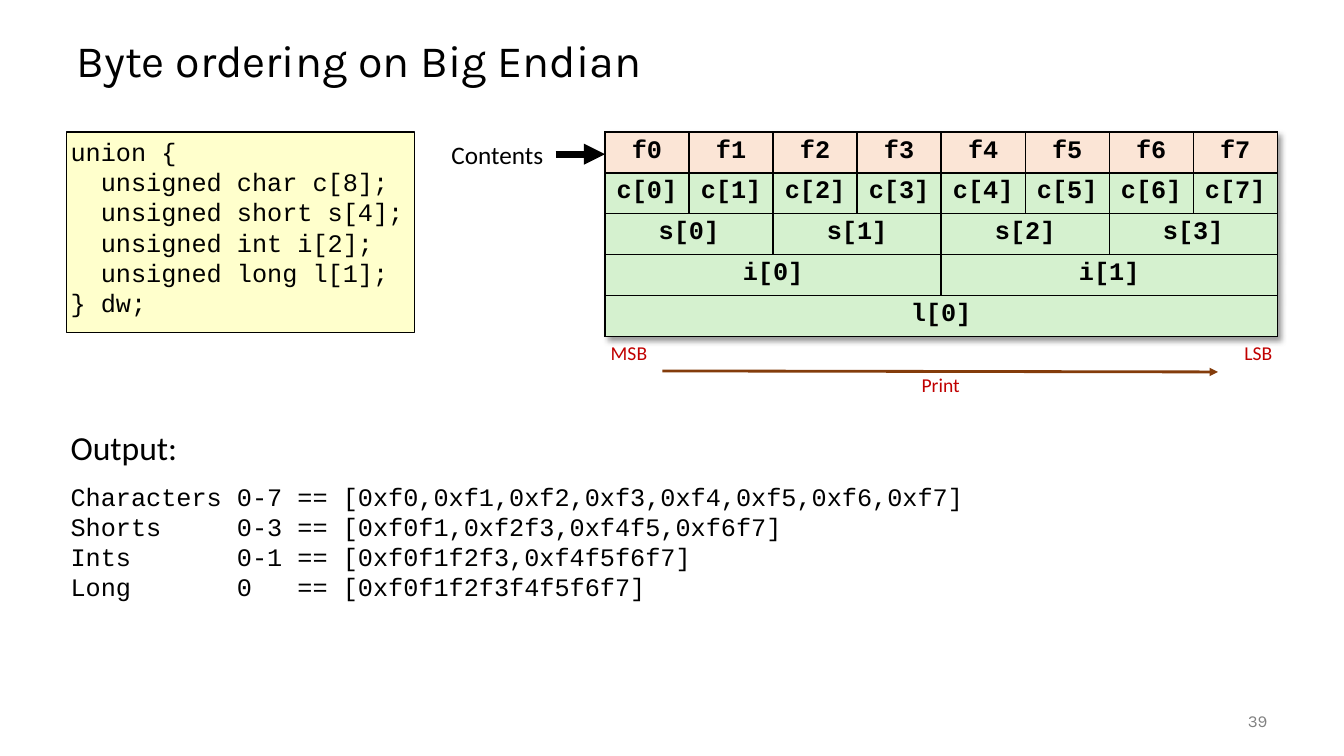
from lxml import etree
from pptx import Presentation
from pptx.dml.color import RGBColor as RGB
from pptx.enum.shapes import MSO_CONNECTOR as LINK, MSO_SHAPE as SHAPE
from pptx.enum.text import MSO_ANCHOR as ANCHOR, MSO_AUTO_SIZE as AUTO, PP_ALIGN as ALIGN
from pptx.oxml import parse_xml
from pptx.oxml.ns import nsdecls, qn
from pptx.util import Inches, Pt

HUES = {"ink": "000000", "gray": "808080", "red": "C00000", "brown": "843C0B",
        "cream": "FFFFCC", "peach": "FBE5D6", "green": "D5F1CF"}
MONO, SANS, HEAD = "Courier New", "Calibri", "Karla"
CODE = ["union {", "  unsigned char c[8];", "  unsigned short s[4];",
        "  unsigned int i[2];", "  unsigned long l[1];", "} dw;"]
OUTPUT = ["Characters\t0-7\t== [0xf0,0xf1,0xf2,0xf3,0xf4,0xf5,0xf6,0xf7]",
          "Shorts\t0-3\t== [0xf0f1,0xf2f3,0xf4f5,0xf6f7]",
          "Ints\t0-1\t== [0xf0f1f2f3,0xf4f5f6f7]",
          "Long\t0\t== [0xf0f1f2f3f4f5f6f7]"]


def hue(name):
    return RGB.from_string(HUES[name])


def write(frame, lines, size=18, font=SANS, color="ink", bold=False,
          align=ALIGN.LEFT, space=None, tabs=()):
    """Fill a text frame, one paragraph for each line."""
    for n, line in enumerate(lines):
        para = frame.paragraphs[0] if n == 0 else frame.add_paragraph()
        para.alignment = align
        if space:
            para.line_spacing = space
        if tabs:
            stops = etree.SubElement(para._p.get_or_add_pPr(), qn("a:tabLst"))
            for stop in tabs:
                etree.SubElement(stops, qn("a:tab"), pos=str(Inches(stop)), algn="l")
        run = para.add_run()
        run.text = line
        run.font.size, run.font.name, run.font.bold = Pt(size), font, bold
        run.font.color.rgb = hue(color)


def inset(frame, gap):
    frame.margin_left = frame.margin_right = Inches(gap)
    frame.margin_top = frame.margin_bottom = Inches(gap)


def label(slide, box, lines, gap=0.04, wrap=True, anchor=ANCHOR.TOP, **style):
    """Place a text box."""
    shape = slide.shapes.add_textbox(*map(Inches, box))
    frame = shape.text_frame
    frame.word_wrap = wrap
    frame.auto_size = AUTO.NONE if wrap else AUTO.SHAPE_TO_FIT_TEXT
    frame.vertical_anchor = anchor
    if gap is not None:
        inset(frame, gap)
    write(frame, lines, **style)
    return shape


def arrow(slide, ends, color, width):
    line = slide.shapes.add_connector(LINK.STRAIGHT, *map(Inches, ends))
    line.line.color.rgb = hue(color)
    line.line.width = Pt(width)
    etree.SubElement(line.line._get_or_add_ln(), qn("a:tailEnd"), type="triangle")
    etree.SubElement(line._element.spPr, qn("a:effectLst"))
    return line


def code(slide, box):
    """Yellow panel with the union."""
    panel = slide.shapes.add_shape(SHAPE.RECTANGLE, *map(Inches, box))
    panel.shadow.inherit = False
    panel.fill.solid()
    panel.fill.fore_color.rgb = hue("cream")
    panel.line.color.rgb = hue("ink")
    panel.line.width = Pt(1)
    frame = panel.text_frame
    frame.word_wrap = True
    frame.vertical_anchor = ANCHOR.TOP
    inset(frame, 0.04)
    write(frame, CODE, font=MONO)


def paint(cell, color):
    """Give a cell its fill and four black edges."""
    cell.fill.solid()
    cell.fill.fore_color.rgb = hue(color)
    for n, side in enumerate("LRTB"):
        edge = parse_xml(
            f'<a:ln{side} {nsdecls("a")} w="{Pt(1)}"><a:solidFill>'
            f'<a:srgbClr val="{HUES["ink"]}"/></a:solidFill></a:ln{side}>')
        cell._tc.get_or_add_tcPr().insert(n, edge)


def layout(slide, box):
    """Byte table, with its captions and arrows around it."""
    left, top, wide, high = box
    right, base = left + wide, top + high
    rows = [("f{}", 1), ("c[{}]", 1), ("s[{}]", 2), ("i[{}]", 4), ("l[{}]", 8)]
    table = slide.shapes.add_table(len(rows), 8, *map(Inches, box)).table
    table.first_row = table.horz_banding = False
    table._tbl.tblPr.insert(0, parse_xml(
        f'<a:effectLst {nsdecls("a")}><a:outerShdw blurRad="50800" dist="38100" '
        'dir="2700000" algn="tl"><a:srgbClr val="000000"><a:alpha val="40000"/>'
        '</a:srgbClr></a:outerShdw></a:effectLst>'))
    for r, (form, span) in enumerate(rows):
        table.rows[r].height = Inches(high / len(rows))
        for c in range(8):
            cell = table.cell(r, c)
            paint(cell, "green" if r else "peach")
            if c % span == 0:
                if span > 1:
                    cell.merge(table.cell(r, c + span - 1))
                write(cell.text_frame, [form.format(c // span)], font=MONO,
                      bold=True, align=ALIGN.CENTER)

    # Captions below
    note = dict(wrap=False, size=14, color="red")
    label(slide, (left, base, 0.46, 0.32), ["MSB"], align=ALIGN.RIGHT, **note)
    label(slide, (right - 0.38, base, 0.37, 0.32), ["LSB"], align=ALIGN.RIGHT, **note)
    arrow(slide, (left + 0.57, base + 0.34, right - 0.59, base + 0.35), "brown", 2)
    label(slide, (left + 3.1, base + 0.32, 0.48, 0.32), ["Print"], **note)

    # Pointer to the first row
    name = label(slide, (left - 1.62, top + 0.02, 1.13, 0.4), ["Contents"],
                 gap=None, wrap=False)
    link = arrow(slide, (left - 0.49, top + 0.22, left, top + 0.22), "ink", 5)
    link.begin_connect(name, 3)


def output(slide, box):
    """Heading and the printed lines."""
    left, top, wide, high = box
    label(slide, (left, top, 4.01, 0.49), ["Output:"], size=24)
    label(slide, (left, top + 0.54, wide, high - 0.54), OUTPUT, font=MONO,
          tabs=(1.65, 2.25))


def main():
    deck = Presentation()
    deck.slide_width, deck.slide_height = Inches(13.33), Inches(7.5)
    slide = deck.slides.add_slide(deck.slide_layouts[6])
    label(slide, (0.66, 0.25, 12, 0.75), ["Byte ordering on Big Endian"], gap=None,
          anchor=ANCHOR.MIDDLE, size=32, font=HEAD, space=0.9)
    code(slide, (0.66, 1.31, 3.45, 1.99))
    layout(slide, (6, 1.31, 6.67, 2.03))
    output(slide, (0.66, 4.19, 9.5, 1.96))
    label(slide, (11.67, 6.95, 1, 0.4), ["39"], gap=None, anchor=ANCHOR.MIDDLE,
          size=12, font=HEAD, color="gray", align=ALIGN.RIGHT)
    deck.save("out.pptx")


if __name__ == "__main__":
    main()
